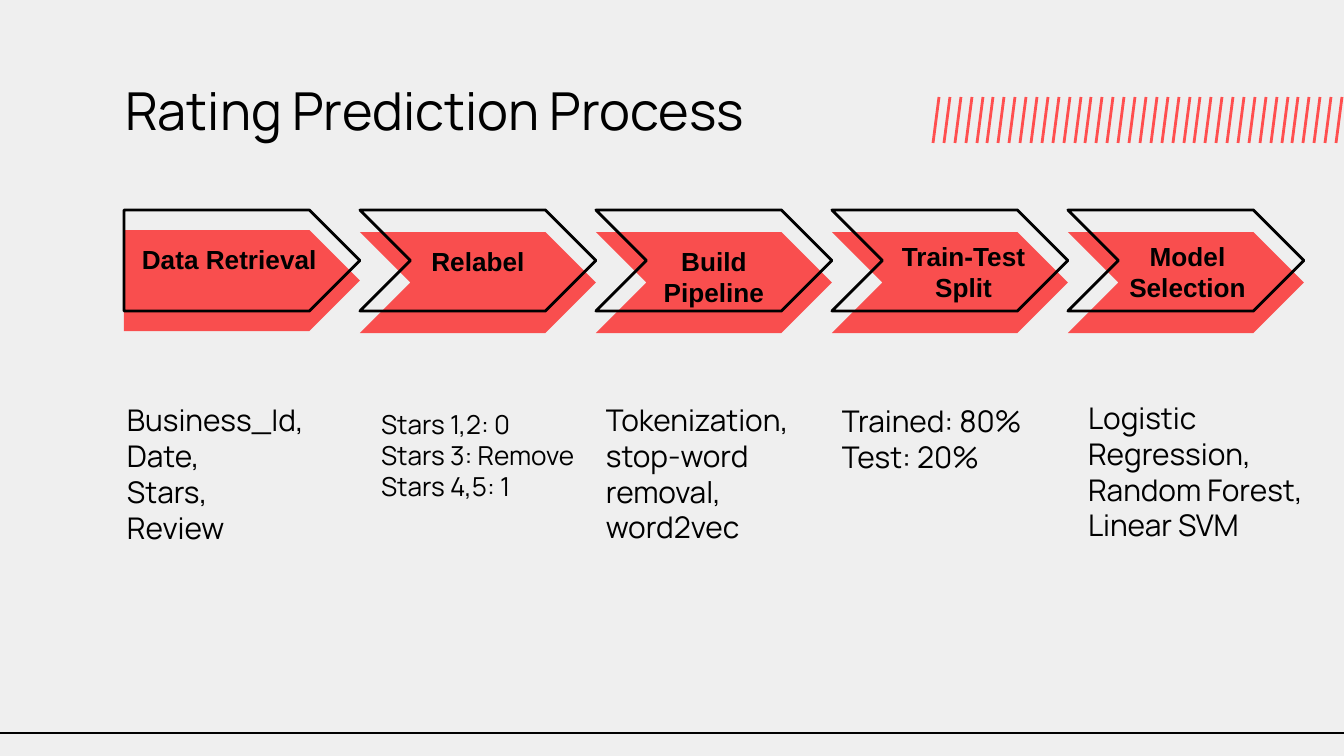
from lxml.etree import SubElement
from pptx import Presentation
from pptx.dml.color import RGBColor
from pptx.enum.shapes import MSO_CONNECTOR, MSO_SHAPE
from pptx.enum.text import MSO_ANCHOR, PP_ALIGN
from pptx.oxml.ns import qn
from pptx.util import Emu, Pt

SCALE = 914400 / 134.4
WIDE, HIGH = 1344, 756
PAPER = RGBColor(0xEF, 0xEF, 0xEF)
BLACK = RGBColor(0, 0, 0)
RED = RGBColor(0xFF, 0, 0)
CORAL = RGBColor(0xFF, 0x4F, 0x4F)

STEPS = [
    ("Data Retrieval", None),
    ("Relabel", None),
    ("Build Pipeline", None),
    ("Train-Test\nSplit", (874, 233, 179, 77)),
    ("Model Selection", (1098, 233, 179, 77)),
]
NOTES = [
    ("Business_Id,\nDate,\nStars,\nReview", (114, 401, 210, 145), 16, MSO_ANCHOR.MIDDLE, 13),
    ("Stars 1,2: 0\nStars 3: Remove\nStars 4,5: 1", (368, 401, 226, 140), 14, MSO_ANCHOR.TOP, 7),
    ("Tokenization, stop-word removal, word2vec", (593, 378, 247, 180), 16, MSO_ANCHOR.BOTTOM, 13),
    ("Trained: 80%\nTest: 20%", (829, 390, 242, 98), 16, MSO_ANCHOR.MIDDLE, 13),
    ("Logistic Regression, Random Forest, Linear SVM", (1075, 380, 277, 176), 16, MSO_ANCHOR.BOTTOM, 13),
]


def px(*vals):
    return [Emu(round(v * SCALE)) for v in vals]


def write(shape, text, size, face="Manrope", bold=False, align=PP_ALIGN.LEFT,
          anchor=MSO_ANCHOR.TOP, pad=13):
    frame = shape.text_frame
    frame.word_wrap = True
    frame.vertical_anchor = anchor
    frame.margin_left, frame.margin_top, frame.margin_right, frame.margin_bottom = px(13, pad, 13, pad)
    frame.text = text
    for para in frame.paragraphs:
        para.alignment = align
        para.font.size = Pt(size)
        para.font.name = face
        para.font.bold = bold
        para.font.color.rgb = BLACK


def label(slide, box, text, size, **style):
    write(slide.shapes.add_textbox(*px(*box)), text, size, **style)


def stroke(shape, color):
    shape.line.color.rgb = color
    shape.line.width = Pt(1.5)


def hatch(slide, box, count):
    left, top, width, height = box
    slant = 6
    for i in range(count):
        x = left + slant + (width - slant) * i / (count - 1)
        pen = slide.shapes.build_freeform(x, top, scale=SCALE)
        pen.add_line_segments([(x - slant, top + height)], close=False)
        dash = pen.convert_to_shape()
        dash.shadow.inherit = False
        dash.fill.background()
        stroke(dash, CORAL)


def rule(slide, y):
    line = slide.shapes.add_connector(MSO_CONNECTOR.STRAIGHT, *px(0, y, WIDE, y))
    stroke(line, BLACK)
    SubElement(line._element.spPr, qn("a:effectLst"))


def arrow(slide, kind, box):
    shape = slide.shapes.add_shape(kind, *px(*box))
    shape.adjustments[0] = 0.5
    shape.shadow.inherit = False
    return shape


def chain(slide, box):
    left, top, width, height = box
    pitch = width / len(STEPS)
    style = dict(face="Arial", bold=True, align=PP_ALIGN.CENTER)
    for i, (text, spot) in enumerate(STEPS):
        x = left + i * pitch
        kind = MSO_SHAPE.CHEVRON if i else MSO_SHAPE.PENTAGON
        drop = 22 if i else 20
        solid = arrow(slide, kind, (x, top + drop, pitch, height))
        solid.fill.solid()
        solid.fill.fore_color.rgb = RED
        tint = solid._element.spPr.find(".//" + qn("a:srgbClr"))
        SubElement(tint, qn("a:alpha"), val="67000")
        solid.line.fill.background()
        frame = arrow(slide, kind, (x, top, pitch, height))
        frame.fill.background()
        stroke(frame, BLACK)
        if spot:
            label(slide, spot, text, 14, pad=7, **style)
        else:
            write(solid, text, 14, **style)


def notes(slide):
    for text, box, size, anchor, pad in NOTES:
        label(slide, box, text, size, anchor=anchor, pad=pad)


def main():
    deck = Presentation()
    deck.slide_width, deck.slide_height = px(WIDE, HIGH)
    slide = deck.slides.add_slide(deck.slide_layouts[6])
    slide.background.fill.solid()
    slide.background.fill.fore_color.rgb = PAPER
    hatch(slide, (933, 97, 409, 46), 38)
    rule(slide, 733)
    label(slide, (112, 65, 1132, 85), "Rating Prediction Process", 28)
    notes(slide)
    chain(slide, (124, 210, 1180, 101))
    deck.save("out.pptx")


if __name__ == "__main__":
    main()
